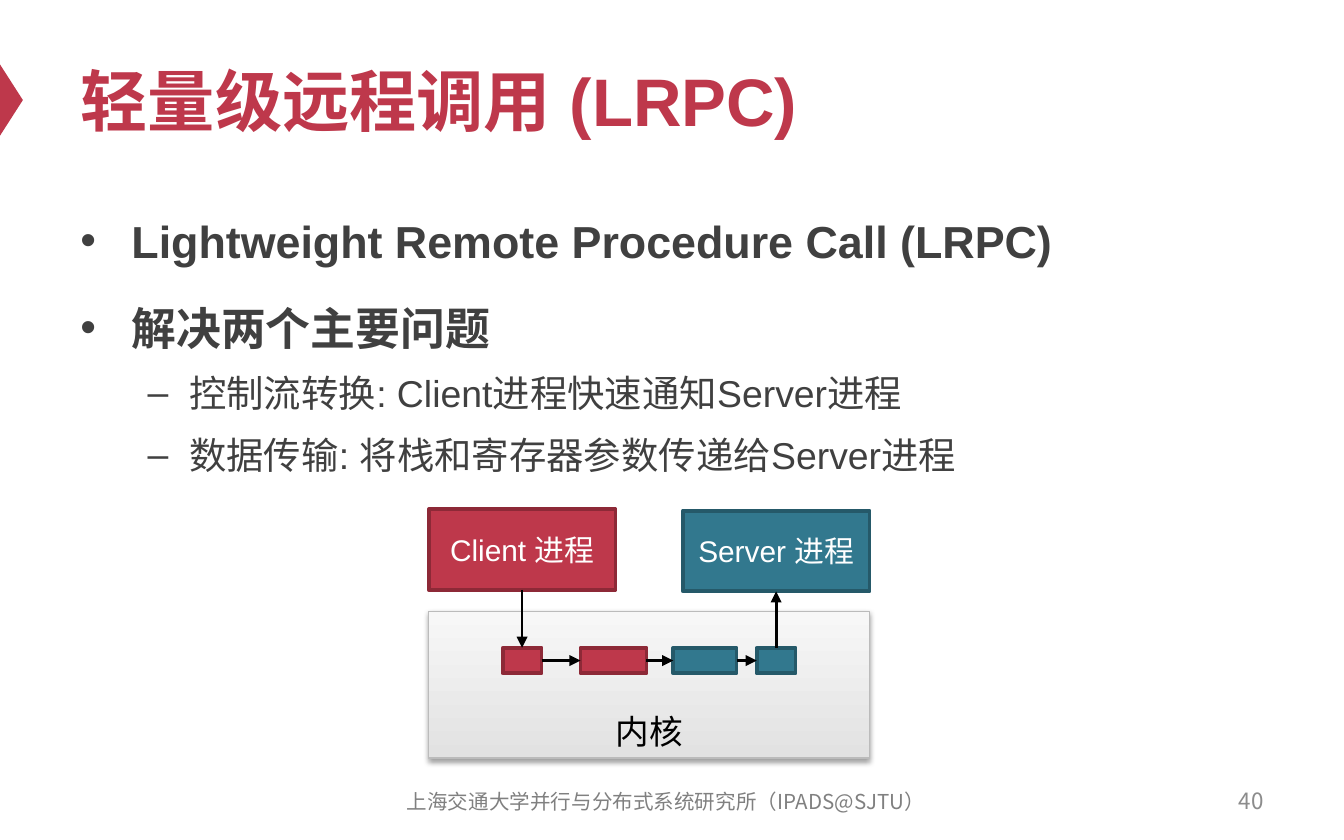
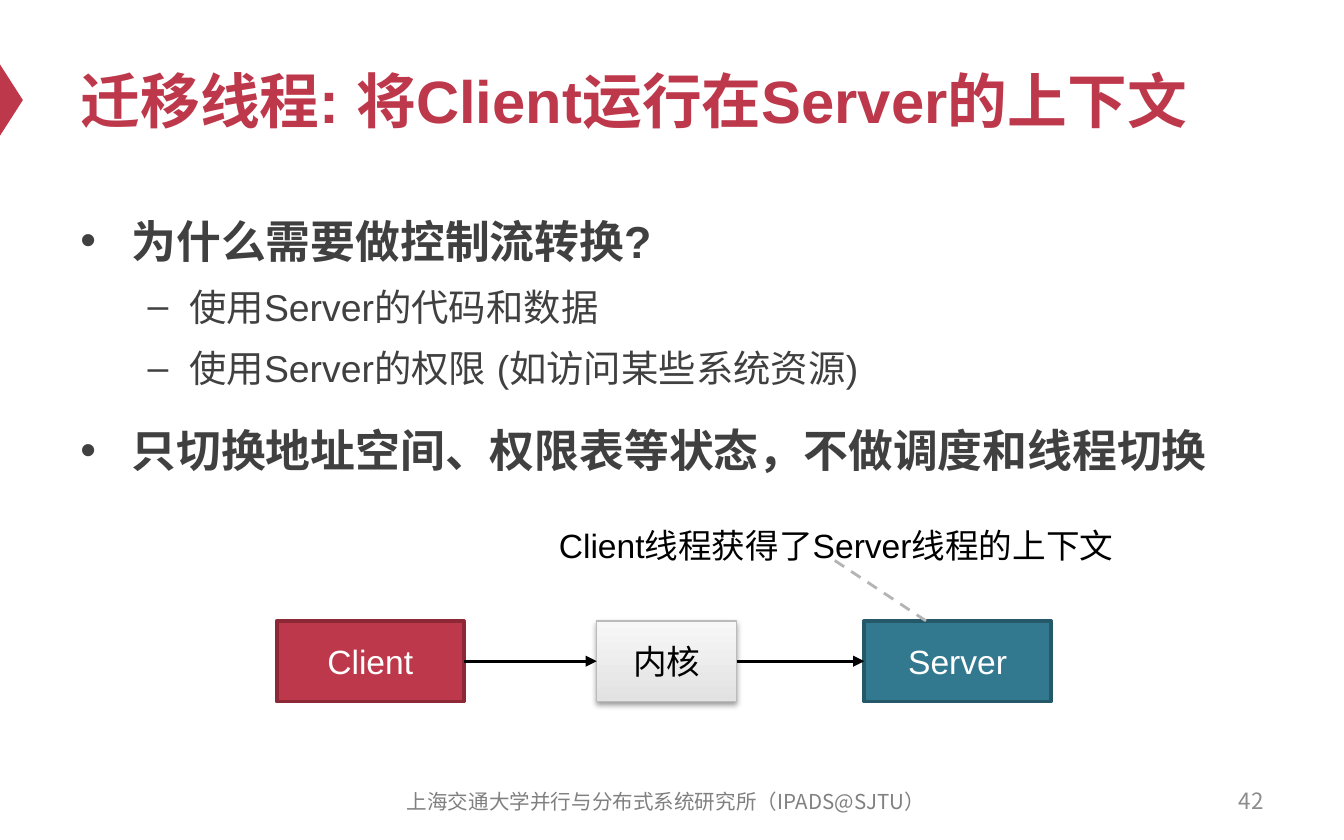
"""Build two slides on lightweight remote procedure calls and thread migration."""
from lxml import etree
from pptx import Presentation
from pptx.dml.color import RGBColor
from pptx.enum.dml import MSO_LINE
from pptx.enum.shapes import MSO_CONNECTOR, MSO_SHAPE
from pptx.enum.text import MSO_ANCHOR, MSO_AUTO_SIZE, PP_ALIGN
from pptx.oxml.ns import qn
from pptx.util import Inches, Pt

RECTANGLE, TRIANGLE = MSO_SHAPE.RECTANGLE, MSO_SHAPE.ISOSCELES_TRIANGLE
STRAIGHT, DASH = MSO_CONNECTOR.STRAIGHT, MSO_LINE.DASH
TOP, MIDDLE, BOTTOM = MSO_ANCHOR.TOP, MSO_ANCHOR.MIDDLE, MSO_ANCHOR.BOTTOM
LEFT, CENTER, RIGHT = PP_ALIGN.LEFT, PP_ALIGN.CENTER, PP_ALIGN.RIGHT
SITE_TOP, SITE_LEFT, SITE_BOTTOM, SITE_RIGHT = range(4)

COLORS = {
    "red": "BE384B", "red_edge": "8D2937",
    "teal": "32788E", "teal_edge": "255969",
    "kernel_low": "E2E2E2", "kernel_high": "F7F7F7", "kernel_edge": "BBBBBB",
    "body": "404040", "footer": "808080", "number": "8C8C8C",
    "black": "000000", "white": "FFFFFF", "dash": "B4B4B4",
}
BODY_FONT, FOOTER_FONT = "Arial", "Noto Sans CJK SC"
FOOTER = "上海交通大学并行与分布式系统研究所（IPADS@SJTU）"

LEVELS = [
    {"bullet": "•", "margin": 0.38, "hang": 0.38, "size": 24, "bold": True, "before": 12},
    {"bullet": "–", "margin": 0.81, "hang": 0.31, "size": 20, "bold": False, "before": 4},
]

LRPC = {
    "title": "轻量级远程调用 (LRPC)", "title_size": 36, "number": "40",
    "points": [
        (0, "Lightweight Remote Procedure Call (LRPC)"),
        (0, "解决两个主要问题"),
        (1, "控制流转换: Client进程快速通知Server进程"),
        (1, "数据传输: 将栈和寄存器参数传递给Server进程"),
    ],
}
MIGRATION = {
    "title": "迁移线程: 将Client运行在Server的上下文", "title_size": 32, "number": "42",
    "points": [
        (0, "为什么需要做控制流转换?"),
        (1, "使用Server的代码和数据"),
        (1, "使用Server的权限 (如访问某些系统资源)"),
        (0, "只切换地址空间、权限表等状态，不做调度和线程切换"),
    ],
}
PROCESS_SIZE = (1.39, 0.6)
STAGE_TOP, STAGE_HEIGHT = 4.82, 0.19
STAGES = [("red", 3.74, 0.29), ("red", 4.32, 0.49), ("teal", 5.01, 0.47), ("teal", 5.63, 0.29)]
CONTEXT_NOTE = "Client线程获得了Server线程的上下文"


def rgb(name):
    return RGBColor.from_string(COLORS[name])


def add_text(para, text, size, color, bold=False, font=BODY_FONT):
    span = para.add_run()
    span.text = text
    span.font.size = Pt(size)
    span.font.bold = bold
    span.font.color.rgb = rgb(color)
    span.font.name = font
    etree.SubElement(span.font._element, qn("a:ea"), typeface=font)


def fill_frame(frame, text, size, color, align=LEFT, anchor=TOP, bold=False, font=BODY_FONT):
    frame.word_wrap = True
    frame.auto_size = MSO_AUTO_SIZE.NONE
    frame.vertical_anchor = anchor
    para = frame.paragraphs[0]
    para.alignment = align
    add_text(para, text, size, color, bold, font)


def add_label(page, place, *args, **style):
    box = page.shapes.add_textbox(*map(Inches, place))
    fill_frame(box.text_frame, *args, **style)


def add_points(page, points):
    frame = page.shapes.add_textbox(*map(Inches, (0.5, 1.46, 9, 4.12))).text_frame
    frame.word_wrap = True
    for index, (depth, text) in enumerate(points):
        level = LEVELS[depth]
        para = frame.add_paragraph() if index else frame.paragraphs[0]
        para.level = depth
        para.line_spacing = 1.2
        if index:
            para.space_before = Pt(level["before"])
        properties = para._p.get_or_add_pPr()
        properties.set("marL", str(Inches(level["margin"])))
        properties.set("indent", str(-Inches(level["hang"])))
        etree.SubElement(properties, qn("a:buFont"), typeface=BODY_FONT)
        etree.SubElement(properties, qn("a:buChar"), char=level["bullet"])
        add_text(para, text, level["size"], "body", level["bold"])


def add_page(deck, content):
    page = deck.slides.add_slide(deck.slide_layouts[5])
    marker = page.shapes.add_shape(TRIANGLE, *map(Inches, (-0.18, 0.66, 0.53, 0.17)))
    marker.rotation = 90
    marker.shadow.inherit = False
    marker.fill.solid()
    marker.fill.fore_color.rgb = rgb("red")
    marker.line.fill.background()
    title = page.shapes.title
    title.left, title.top, title.width, title.height = map(Inches, (0.5, 0.25, 9, 0.98))
    fill_frame(title.text_frame, content["title"], content["title_size"], "red",
               anchor=MIDDLE, bold=True)
    add_points(page, content["points"])
    add_label(page, (7.17, 5.79, 2.33, 0.33), content["number"], 12, "number",
              align=RIGHT, anchor=MIDDLE, font=FOOTER_FONT)
    add_label(page, (2.79, 5.8, 4.33, 0.33), FOOTER, 11, "footer",
              align=CENTER, anchor=MIDDLE, font=FOOTER_FONT)
    return page


def add_block(page, color, place, text="", size=18):
    block = page.shapes.add_shape(RECTANGLE, *map(Inches, place))
    block.shadow.inherit = False
    block.fill.solid()
    block.fill.fore_color.rgb = rgb(color)
    block.line.color.rgb = rgb(color + "_edge")
    block.line.width = Pt(2)
    if text:
        fill_frame(block.text_frame, text, size, "white", align=CENTER, anchor=MIDDLE)
    return block


def add_kernel(page, place, anchor):
    kernel = page.shapes.add_shape(RECTANGLE, *map(Inches, place))
    kernel.fill.gradient()
    kernel.fill.gradient_angle = 90
    for stop, name in zip(kernel.fill.gradient_stops, ("kernel_low", "kernel_high")):
        stop.color.rgb = rgb(name)
    kernel.line.color.rgb = rgb("kernel_edge")
    kernel.line.width = Pt(0.75)
    kernel.shadow.inherit = False
    effects = kernel._element.spPr.find(qn("a:effectLst"))
    shadow = etree.SubElement(effects, qn("a:outerShdw"), blurRad=str(Pt(3.1)),
                              dist=str(Pt(1.6)), dir="5400000", rotWithShape="0")
    tint = etree.SubElement(shadow, qn("a:srgbClr"), val=COLORS["black"])
    etree.SubElement(tint, qn("a:alpha"), val="38000")
    fill_frame(kernel.text_frame, "内核", 18, "black", align=CENTER, anchor=anchor)
    return kernel


def add_line(page, color, ends=(0, 0, 0, 0)):
    line = page.shapes.add_connector(STRAIGHT, *map(Inches, ends))
    line.line.color.rgb = rgb(color)
    line.line.width = Pt(1.5)
    etree.SubElement(line._element.spPr, qn("a:effectLst"))
    return line


def add_arrow(page, source, target, source_site=SITE_RIGHT, target_site=SITE_LEFT):
    arrow = add_line(page, "black")
    arrow.begin_connect(source, source_site)
    arrow.end_connect(target, target_site)
    etree.SubElement(arrow.line._get_or_add_ln(), qn("a:tailEnd"), type="triangle")


def draw_call_path(page):
    add_kernel(page, (3.19, 4.55, 3.28, 1.09), BOTTOM)
    client = add_block(page, "red", (3.19, 3.79, *PROCESS_SIZE), "Client 进程", 16)
    server = add_block(page, "teal", (5.08, 3.8, *PROCESS_SIZE), "Server 进程", 16)
    stages = [add_block(page, color, (left, STAGE_TOP, width, STAGE_HEIGHT))
              for color, left, width in STAGES]
    add_arrow(page, client, stages[0], SITE_BOTTOM, SITE_TOP)
    for source, target in zip(stages, stages[1:]):
        add_arrow(page, source, target)
    add_arrow(page, stages[-1], server, SITE_TOP, SITE_BOTTOM)


def draw_migration(page):
    kernel = add_kernel(page, (4.44, 4.62, 1.04, 0.6), MIDDLE)
    client = add_block(page, "red", (2.06, 4.62, *PROCESS_SIZE), "Client")
    server = add_block(page, "teal", (6.43, 4.62, *PROCESS_SIZE), "Server")
    add_arrow(page, client, kernel)
    add_arrow(page, kernel, server)
    add_label(page, (4.06, 3.86, 4.37, 0.4), CONTEXT_NOTE, 18, "black")
    add_line(page, "dash", (6.89, 4.62, 6.18, 4.15)).line.dash_style = DASH


def main():
    deck = Presentation()
    deck.slide_width, deck.slide_height = Inches(10), Inches(6.25)
    draw_call_path(add_page(deck, LRPC))
    draw_migration(add_page(deck, MIGRATION))
    deck.save("out.pptx")


if __name__ == "__main__":
    main()
